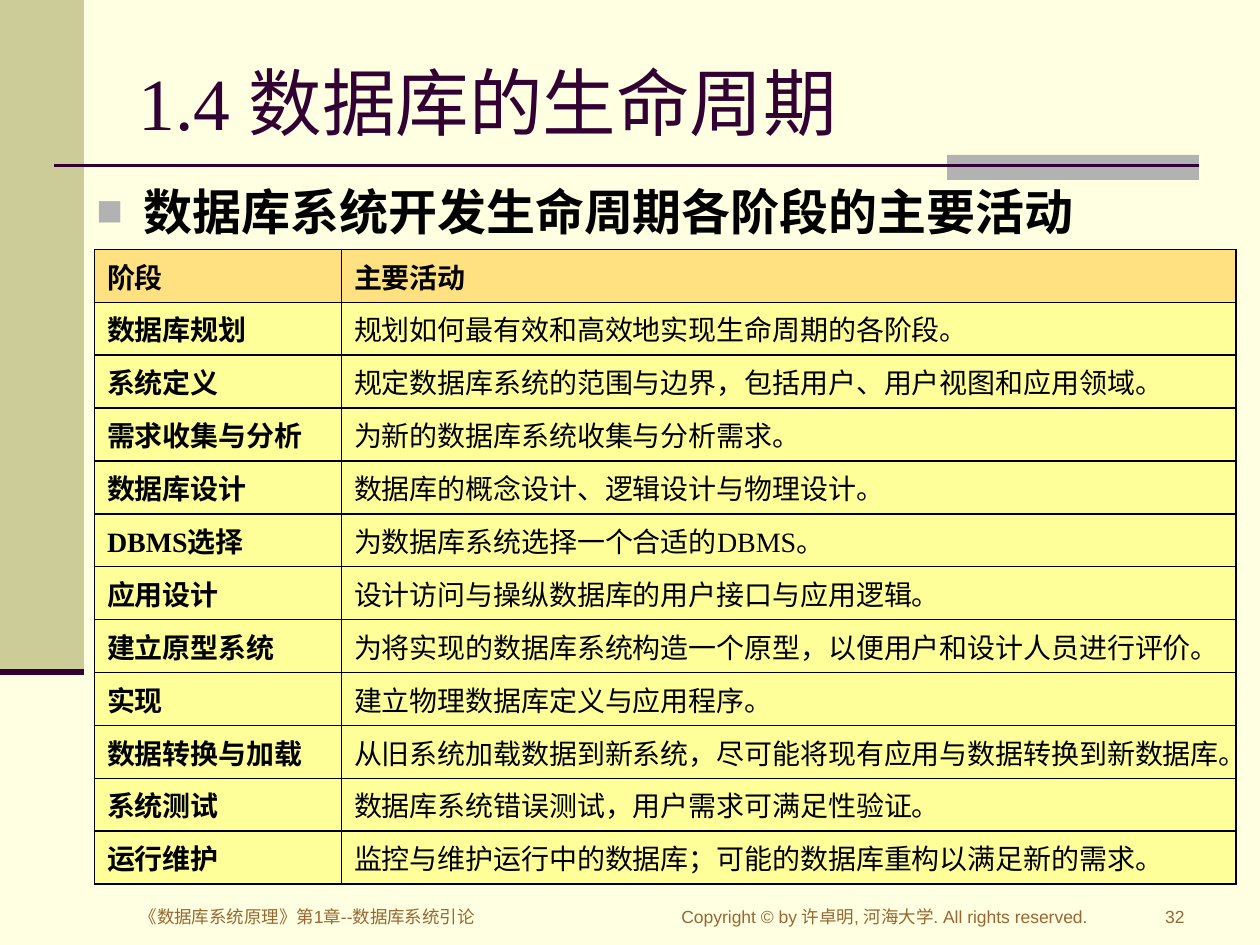
from lxml.etree import SubElement
from pptx import Presentation
from pptx.dml.color import RGBColor
from pptx.enum.shapes import MSO_CONNECTOR as Connector, MSO_SHAPE as Shape
from pptx.enum.text import MSO_ANCHOR as Anchor, MSO_AUTO_SIZE as AutoSize, PP_ALIGN as Align
from pptx.oxml.ns import qn
from pptx.util import Pt

COLORS = {
    "background": "FFFFE1",
    "sidebar": "CCCC99",
    "accent": "B2B2B2",
    "title": "330033",
    "text": "000000",
    "footer": "996633",
    "header_row": "FFE181",
    "body_row": "FFFF99",
}
SERIF = "Times New Roman"
SANS = "Arial"
ROW_HEIGHT = 30.24
COLUMN_WIDTHS = (141.12, 511.2)
ACTIVITIES = [
    ("阶段", "主要活动"),
    ("数据库规划", "规划如何最有效和高效地实现生命周期的各阶段。"),
    ("系统定义", "规定数据库系统的范围与边界，包括用户、用户视图和应用领域。"),
    ("需求收集与分析", "为新的数据库系统收集与分析需求。"),
    ("数据库设计", "数据库的概念设计、逻辑设计与物理设计。"),
    ("DBMS选择", "为数据库系统选择一个合适的DBMS。"),
    ("应用设计", "设计访问与操纵数据库的用户接口与应用逻辑。"),
    ("建立原型系统", "为将实现的数据库系统构造一个原型，以便用户和设计人员进行评价。"),
    ("实现", "建立物理数据库定义与应用程序。"),
    ("数据转换与加载", "从旧系统加载数据到新系统，尽可能将现有应用与数据转换到新数据库。"),
    ("系统测试", "数据库系统错误测试，用户需求可满足性验证。"),
    ("运行维护", "监控与维护运行中的数据库；可能的数据库重构以满足新的需求。"),
]
FOOTERS = [
    (637.92, 46.08, "32", Align.RIGHT),
    (382.32, 249.12, "Copyright © by 许卓明, 河海大学. All rights reserved.", Align.LEFT),
    (72.72, 304.56, "《数据库系统原理》第1章--数据库系统引论", Align.LEFT),
]


def rgb(name):
    return RGBColor.from_string(COLORS[name])


def set_font(paragraph, name, size, color, bold=False):
    font = paragraph.font
    font.name = name
    font.size = Pt(size)
    font.bold = bold
    font.color.rgb = rgb(color)


def add_block(slide, left, top, width, height, color):
    shape = slide.shapes.add_shape(Shape.RECTANGLE, Pt(left), Pt(top), Pt(width), Pt(height))
    shape.shadow.inherit = False
    shape.fill.solid()
    shape.fill.fore_color.rgb = rgb(color)
    shape.line.fill.background()


def add_rule(slide, left, right, y, weight):
    rule = slide.shapes.add_connector(Connector.STRAIGHT, Pt(left), Pt(y), Pt(right), Pt(y))
    rule.line.color.rgb = rgb("title")
    rule.line.width = Pt(weight)
    SubElement(rule._element.spPr, qn("a:effectLst"))


def add_text(slide, left, top, width, height, text):
    box = slide.shapes.add_textbox(Pt(left), Pt(top), Pt(width), Pt(height))
    box.text_frame.word_wrap = True
    paragraph = box.text_frame.paragraphs[0]
    paragraph.text = text
    return paragraph


def add_bullet(paragraph, indent):
    properties = paragraph._p.get_or_add_pPr()
    properties.set("marL", str(Pt(indent)))
    properties.set("indent", str(-Pt(indent)))
    color = SubElement(properties, qn("a:buClr"))
    SubElement(color, qn("a:srgbClr"), val=COLORS["accent"])
    SubElement(properties, qn("a:buSzPct"), val="90000")
    SubElement(properties, qn("a:buFont"), typeface=SANS)
    SubElement(properties, qn("a:buChar"), char="■")


def set_title(slide, text):
    title = slide.shapes.title
    title.left, title.top, title.width, title.height = Pt(72), Pt(21.6), Pt(612), Pt(72.72)
    frame = title.text_frame
    frame.text = text
    frame.auto_size = AutoSize.NONE
    frame.vertical_anchor = Anchor.MIDDLE
    paragraph = frame.paragraphs[0]
    paragraph.alignment = Align.LEFT
    set_font(paragraph, SERIF, 42, "title")


def set_borders(cell):
    properties = cell._tc.get_or_add_tcPr()
    for position, side in enumerate(("lnL", "lnR", "lnT", "lnB")):
        line = properties.makeelement(qn(f"a:{side}"), {"w": str(Pt(1))})
        fill = SubElement(line, qn("a:solidFill"))
        SubElement(fill, qn("a:srgbClr"), val=COLORS["text"])
        properties.insert(position, line)


def add_activity_table(slide, left, top):
    frame = slide.shapes.add_table(
        len(ACTIVITIES), len(COLUMN_WIDTHS), Pt(left), Pt(top),
        Pt(sum(COLUMN_WIDTHS)), Pt(ROW_HEIGHT * len(ACTIVITIES)))
    table = frame.table
    table.horz_banding = False
    for column, width in zip(table.columns, COLUMN_WIDTHS):
        column.width = Pt(width)
    for row_index, texts in enumerate(ACTIVITIES):
        table.rows[row_index].height = Pt(ROW_HEIGHT)
        for column_index, text in enumerate(texts):
            cell = table.cell(row_index, column_index)
            cell.text = text
            cell.fill.solid()
            cell.fill.fore_color.rgb = rgb("body_row" if row_index else "header_row")
            is_heading = row_index == 0 or column_index == 0
            set_font(cell.text_frame.paragraphs[0], SERIF, 16, "text", is_heading)
            set_borders(cell)


def main():
    presentation = Presentation()
    presentation.slide_width, presentation.slide_height = Pt(720), Pt(540)
    slide = presentation.slides.add_slide(presentation.slide_layouts[5])
    slide.background.fill.solid()
    slide.background.fill.fore_color.rgb = rgb("background")

    add_block(slide, 0, 0, 48, 384, "sidebar")
    add_block(slide, 541.2, 88.5, 144, 14.4, "accent")
    add_rule(slide, 31, 685.2, 94.5, 1.5)
    add_rule(slide, 0, 48, 384, 3.5)

    set_title(slide, "1.4 数据库的生命周期")
    heading = add_text(slide, 48, 100, 636, 380, "数据库系统开发生命周期各阶段的主要活动")
    add_bullet(heading, 27)
    set_font(heading, SANS, 28, "text", True)
    add_activity_table(slide, 54, 142.56)

    for left, width, text, alignment in FOOTERS:
        paragraph = add_text(slide, left, 514, width, 25, text)
        paragraph.alignment = alignment
        set_font(paragraph, SANS, 10, "footer")

    presentation.save("out.pptx")


if __name__ == "__main__":
    main()
